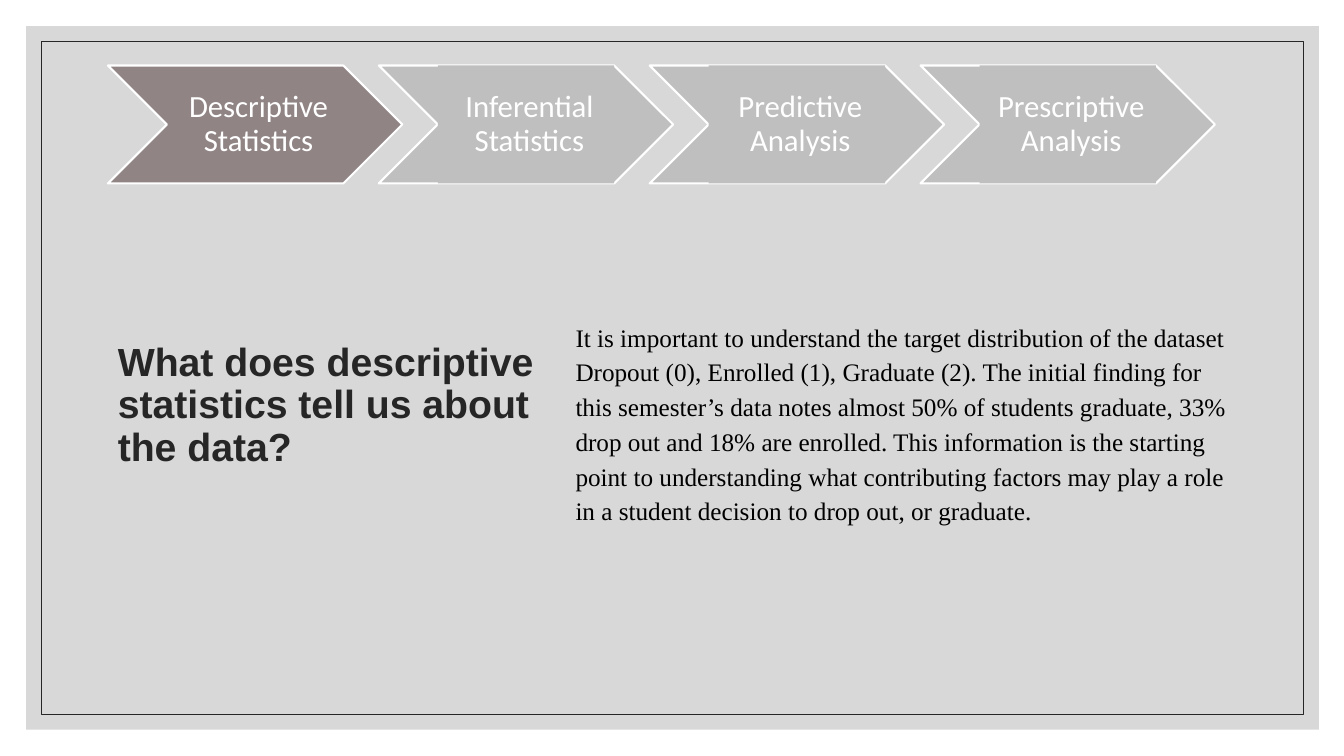
import pptx
import pptx.util
import pptx.dml.color
import pptx.enum.shapes
import pptx.enum.text
import pptx.oxml.ns
from lxml import etree

Inches = pptx.util.Inches
Pt = pptx.util.Pt
RGBColor = pptx.dml.color.RGBColor
MSO_SHAPE = pptx.enum.shapes.MSO_SHAPE
PP_ALIGN = pptx.enum.text.PP_ALIGN
MSO_ANCHOR = pptx.enum.text.MSO_ANCHOR
MSO_AUTO_SIZE = pptx.enum.text.MSO_AUTO_SIZE

WHITE = RGBColor(0xFF, 0xFF, 0xFF)
BLACK = RGBColor(0x00, 0x00, 0x00)
CHARCOAL = RGBColor(0x26, 0x26, 0x26)
SILVER = RGBColor(0xBF, 0xBF, 0xBF)
MAUVE = RGBColor(0x91, 0x84, 0x85)

STAGES = ["Descriptive Statistics", "Inferential Statistics",
          "Predictive Analysis", "Prescriptive Analysis"]
QUESTION = "What does descriptive statistics tell us about the data?"
FINDING = (
    "It is important to understand the target distribution of the dataset "
    "Dropout (0), Enrolled (1), Graduate (2). The initial finding for this "
    "semester’s data notes almost 50% of students graduate, 33% drop out and "
    "18% are enrolled. This information is the starting point to understanding "
    "what contributing factors may play a role in a student decision to drop "
    "out, or graduate.")


class Deck:
    stage_font = {"name": "Calibri", "size": Pt(22)}
    title_font = {"name": "Arial", "size": Pt(28), "bold": True}
    body_font = {"name": "Times New Roman", "size": Pt(18)}
    label_frame = {"margin_left": Inches(0.1), "margin_right": Inches(0.03),
                   "margin_top": Inches(0.03), "margin_bottom": Inches(0.03),
                   "vertical_anchor": MSO_ANCHOR.MIDDLE}

    def __init__(self):
        self.prs = pptx.Presentation()
        self.prs.slide_width = Inches(13.33)
        self.prs.slide_height = Inches(7.5)
        self.s = self.prs.slides.add_slide(self.prs.slide_layouts[6])

    def shape(self, parent, kind, box, fill=None, line=None, width=1, alpha=None):
        sp = parent.add_shape(kind, *map(Inches, box))
        sp.shadow.inherit = False
        if fill is None:
            sp.fill.background()
        else:
            sp.fill.solid()
            sp.fill.fore_color.rgb = fill
        if line is None:
            sp.line.fill.background()
        else:
            sp.line.color.rgb = line
            sp.line.width = Pt(width)
        if alpha is not None:
            clr = sp.element.spPr.find(".//" + pptx.oxml.ns.qn("a:srgbClr"))
            etree.SubElement(clr, pptx.oxml.ns.qn("a:alpha"), val=str(alpha * 1000))
        return sp

    def set_text(self, sp, text, font, color, paragraph, frame=None):
        tf = sp.text_frame
        tf.word_wrap = True
        p = tf.paragraphs[0]
        r = p.add_run()
        r.text = text
        r.font.color.rgb = color
        for target, values in ((tf, frame or {}), (p, paragraph), (r.font, font)):
            for name, value in values.items():
                setattr(target, name, value)

    def text(self, box, *style):
        self.set_text(self.s.shapes.add_textbox(*map(Inches, box)), *style)

    def stage(self, left, text, active):
        top, width, height = 0.65, 2.92, 1.17
        shapes = self.s.shapes.add_group_shape().shapes
        self.shape(shapes, MSO_SHAPE.CHEVRON, (left, top, width, height),
                   MAUVE if active else SILVER, WHITE, 1.5)
        box = (left + height / 2, top, width - height, height)
        if active:
            label = shapes.add_textbox(*map(Inches, box))
        else:
            label = self.shape(shapes, MSO_SHAPE.RECTANGLE, box, SILVER)
        self.set_text(label, text, self.stage_font, WHITE,
                      {"alignment": PP_ALIGN.CENTER, "line_spacing": 0.9},
                      self.label_frame)


def main():
    deck = Deck()
    shapes = deck.s.shapes
    deck.shape(shapes, MSO_SHAPE.RECTANGLE, (0.26, 0.26, 12.82, 6.98), SILVER, alpha=60)
    deck.shape(shapes, MSO_SHAPE.RECTANGLE, (0.41, 0.41, 12.52, 6.68),
               line=CHARCOAL, width=0.5)

    first, last = 1.07, 9.13
    step = (last - first) / (len(STAGES) - 1)
    for i, name in enumerate(STAGES):
        deck.stage(first + i * step, name, active=i == 0)

    deck.text((1.07, 3.35, 4.61, 0.8), QUESTION, deck.title_font, CHARCOAL,
              {"line_spacing": 0.9})
    deck.text((5.61, 3.1, 6.73, 2.6), FINDING, deck.body_font, BLACK,
              {"line_spacing": 1.15, "space_after": Pt(8)},
              {"auto_size": MSO_AUTO_SIZE.SHAPE_TO_FIT_TEXT})
    deck.prs.save("out.pptx")


if __name__ == "__main__":
    main()
